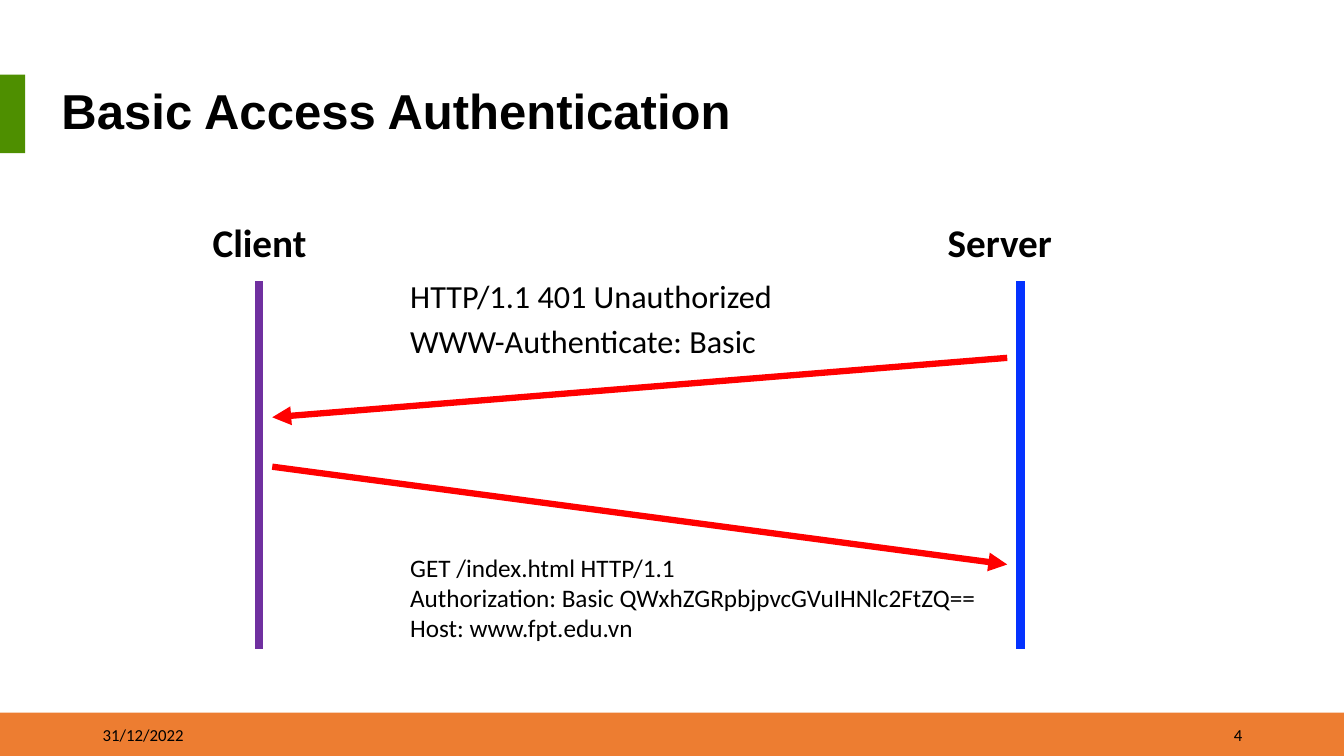
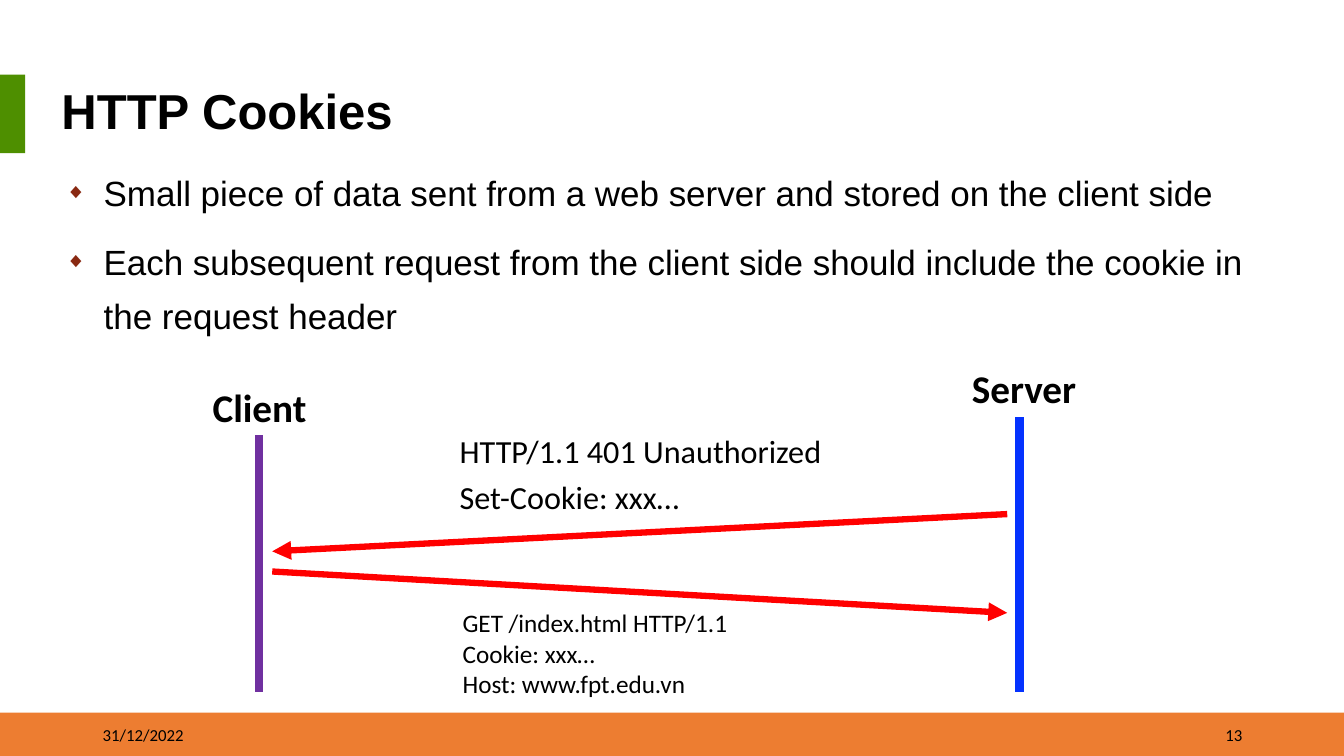
"""Build two slides on HTTP authentication and cookies as client-server exchanges."""
from dataclasses import dataclass

import lxml.etree
import pptx
import pptx.dml.color
import pptx.enum.shapes
import pptx.enum.text
import pptx.oxml.ns
import pptx.util

Inches = pptx.util.Inches
Pt = pptx.util.Pt
qn = pptx.oxml.ns.qn
Align = pptx.enum.text.PP_ALIGN
Anchor = pptx.enum.text.MSO_ANCHOR


@dataclass(frozen=True)
class Theme:
    """Colours, fonts and type sizes of the presentation."""
    text: str = "000000"
    footer_band: str = "ED7D31"
    title_marker: str = "4E8F00"
    bullet: str = "892912"
    client: str = "7030A0"
    server: str = "0432FF"
    arrow: str = "FF0000"
    heading_font: str = "Arial"
    label_font: str = "Calibri"
    title_size: int = 35
    body_size: int = 25
    party_size: int = 28
    response_size: int = 23
    request_size: int = 18
    footer_size: int = 12


THEME = Theme()
DATE = "31/12/2022"
SLIDE_WIDTH, SLIDE_HEIGHT = 13.33, 7.5
TITLE_TOP, TITLE_HEIGHT = 0.74, 0.78
BANDS = [
    (0, 7.07, SLIDE_WIDTH, 0.44, THEME.footer_band),
    (0, TITLE_TOP, 0.25, TITLE_HEIGHT, THEME.title_marker),
]
CLIENT_ARROW_X, SERVER_ARROW_X = 2.7, 9.99
PARTY_WIDTH, PARTY_HEIGHT = 1.38, 0.57

SLIDES = [
    {
        "title": "Basic Access Authentication",
        "number": "4",
        "bullets": [],
        "parties": [
            ("Client", (2.01, 2.12), THEME.client, (2.57, 2.79, 6.44)),
            ("Server", (9.3, 2.12), THEME.server, (10.12, 2.79, 6.44)),
        ],
        "request_arrow": (4.63, 5.6),
        "response_arrow": (3.55, 4.14),
        "response": ["HTTP/1.1 401 Unauthorized", "WWW-Authenticate: Basic"],
        "response_at": (3.97, 2.69),
        "request": [
            "GET /index.html HTTP/1.1",
            "Authorization: Basic QWxhZGRpbjpvcGVuIHNlc2FtZQ==",
            "Host: www.fpt.edu.vn",
        ],
        "request_at": (3.97, 5.43),
    },
    {
        "title": "HTTP Cookies",
        "number": "13",
        "bullets": [
            "Small piece of data sent from a web server and stored on the client side",
            "Each subsequent request from the client side should include the cookie in the request header",
        ],
        "parties": [
            ("Client", (2.01, 3.75), THEME.client, (2.57, 4.32, 6.87)),
            ("Server", (9.54, 3.57), THEME.server, (10.11, 4.14, 6.87)),
        ],
        "request_arrow": (5.67, 6.08),
        "response_arrow": (5.1, 5.47),
        "response": ["HTTP/1.1 401 Unauthorized", "Set-Cookie: xxx…"],
        "response_at": (4.46, 4.23),
        "request": ["GET /index.html HTTP/1.1", "Cookie: xxx…", "Host: www.fpt.edu.vn"],
        "request_at": (4.49, 5.98),
    },
]


def rgb(color):
    """Return a colour object for a hex string."""
    return pptx.dml.color.RGBColor.from_string(color)


def add_run(paragraph, text, size, font, bold=False):
    """Add one formatted run to a paragraph."""
    run = paragraph.add_run()
    run.text = text
    run.font.size = Pt(size)
    run.font.name = font
    run.font.bold = bold
    run.font.color.rgb = rgb(THEME.text)


def add_bullet(paragraph):
    """Give a paragraph a hanging diamond bullet."""
    properties = paragraph._p.get_or_add_pPr()
    properties.set("marL", str(Inches(0.38)))
    properties.set("indent", str(-Inches(0.38)))
    color = lxml.etree.SubElement(properties, qn("a:buClr"))
    lxml.etree.SubElement(color, qn("a:srgbClr"), val=THEME.bullet)
    lxml.etree.SubElement(properties, qn("a:buSzPct"), val="60000")
    lxml.etree.SubElement(properties, qn("a:buFont"), typeface=THEME.heading_font)
    lxml.etree.SubElement(properties, qn("a:buChar"), char="◆")


def add_text(slide, box, lines, size, font=THEME.label_font, bold=False, align=Align.LEFT,
             anchor=Anchor.TOP, gap=0, spacing=None, bulleted=False):
    """Add a text box with one paragraph per line."""
    frame = slide.shapes.add_textbox(*map(Inches, box)).text_frame
    frame.word_wrap = True
    frame.vertical_anchor = anchor
    for index, line in enumerate(lines):
        paragraph = frame.add_paragraph() if index else frame.paragraphs[0]
        if bulleted:
            add_bullet(paragraph)
        paragraph.alignment = align
        if spacing:
            paragraph.line_spacing = spacing
        if index and gap:
            paragraph.space_before = Pt(gap)
        add_run(paragraph, line, size, font, bold)


def add_line(slide, start, end, color, width, arrow=False):
    """Add a straight line, with an arrowhead at its end if asked."""
    line = slide.shapes.add_connector(
        pptx.enum.shapes.MSO_CONNECTOR.STRAIGHT, *map(Inches, (*start, *end)))
    line.line.color.rgb = rgb(color)
    line.line.width = Pt(width)
    if arrow:
        lxml.etree.SubElement(line.line._get_or_add_ln(), qn("a:tailEnd"), type="triangle")
    lxml.etree.SubElement(line.element.spPr, qn("a:effectLst"))


def move_bands_to_layout(slide):
    """Draw the shared bands and place them on the layout of the slide."""
    for *box, color in BANDS:
        band = slide.shapes.add_shape(
            pptx.enum.shapes.MSO_SHAPE.RECTANGLE, *map(Inches, box))
        band.shadow.inherit = False
        band.fill.solid()
        band.fill.fore_color.rgb = rgb(color)
        band.line.fill.background()
        slide.slide_layout.shapes.element.append(band.element)


def set_title(slide, text):
    """Place and format the title placeholder."""
    title = slide.shapes.title
    title.left, title.top, title.width, title.height = map(
        Inches, (0.25, TITLE_TOP, 12.93, TITLE_HEIGHT))
    frame = title.text_frame
    frame.auto_size = pptx.enum.text.MSO_AUTO_SIZE.NONE
    frame.vertical_anchor = Anchor.MIDDLE
    frame.margin_left = Inches(0.36)
    paragraph = frame.paragraphs[0]
    paragraph.alignment = Align.LEFT
    paragraph.line_spacing = 0.9
    add_run(paragraph, text, THEME.title_size, THEME.heading_font, bold=True)


def add_footer(slide, number):
    """Add the date and the slide number."""
    for left, text, align in ((0.92, DATE, Align.LEFT), (9.42, number, Align.RIGHT)):
        add_text(slide, (left, 7.09, 3, 0.4), [text], THEME.footer_size,
                 align=align, anchor=Anchor.MIDDLE)


def add_exchange(slide, content):
    """Draw both parties, the arrows between them and the messages."""
    for name, label_at, color, (x, top, bottom) in content["parties"]:
        add_line(slide, (x, top), (x, bottom), color, 6)
        add_text(slide, (*label_at, PARTY_WIDTH, PARTY_HEIGHT), [name],
                 THEME.party_size, bold=True)
    for key, start_x, end_x in (("request_arrow", CLIENT_ARROW_X, SERVER_ARROW_X),
                                ("response_arrow", SERVER_ARROW_X, CLIENT_ARROW_X)):
        start_y, end_y = content[key]
        add_line(slide, (start_x, start_y), (end_x, end_y), THEME.arrow, 4.5, arrow=True)
    add_text(slide, (*content["response_at"], 4.95, 0.96), content["response"],
             THEME.response_size, gap=5)
    add_text(slide, (*content["request_at"], 6.14, 1.01), content["request"],
             THEME.request_size)


def main():
    """Build and save the presentation."""
    presentation = pptx.Presentation()
    presentation.slide_width = Inches(SLIDE_WIDTH)
    presentation.slide_height = Inches(SLIDE_HEIGHT)
    layout = presentation.slide_layouts.get_by_name("Title Only")
    for index, content in enumerate(SLIDES):
        slide = presentation.slides.add_slide(layout)
        if index == 0:
            move_bands_to_layout(slide)
        set_title(slide, content["title"])
        add_footer(slide, content["number"])
        if content["bullets"]:
            add_text(slide, (0.55, 1.53, 12.23, 1.95), content["bullets"], THEME.body_size,
                     font=THEME.heading_font, gap=10, spacing=1.3, bulleted=True)
        add_exchange(slide, content)
    presentation.save("out.pptx")


if __name__ == "__main__":
    main()
